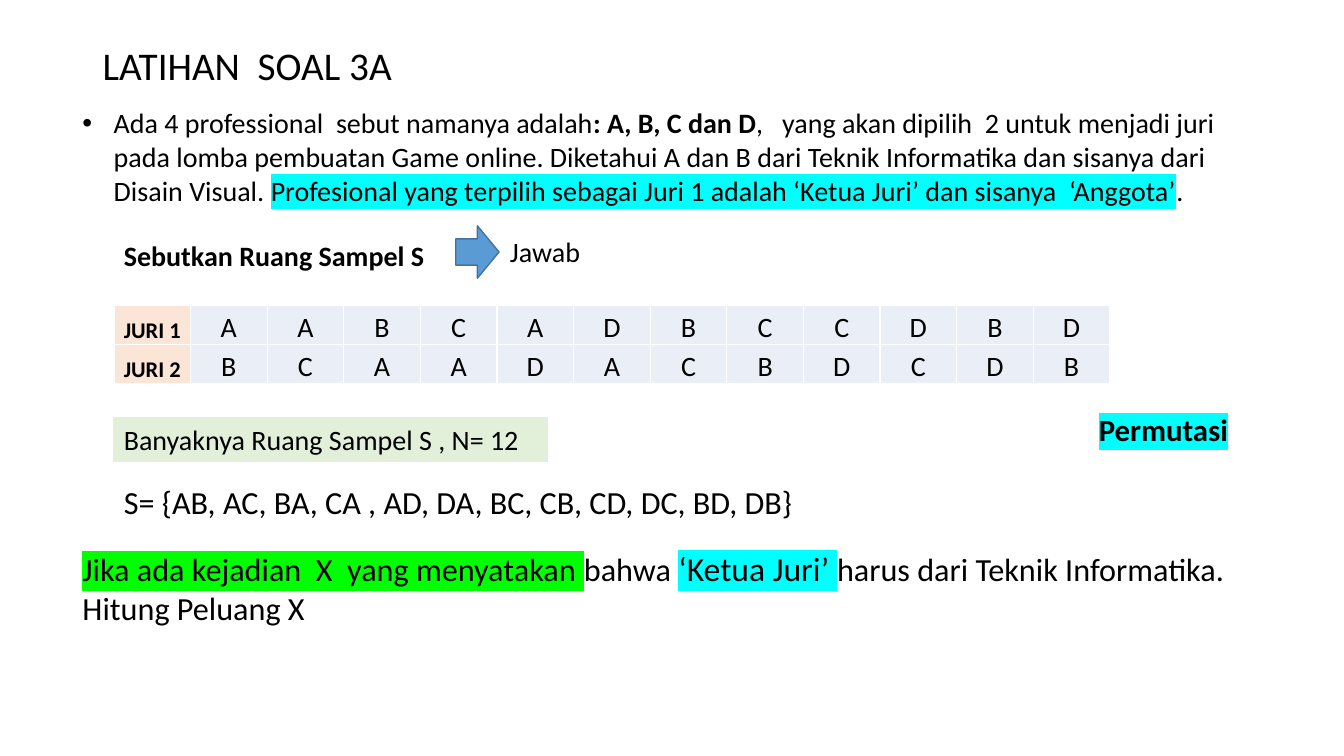
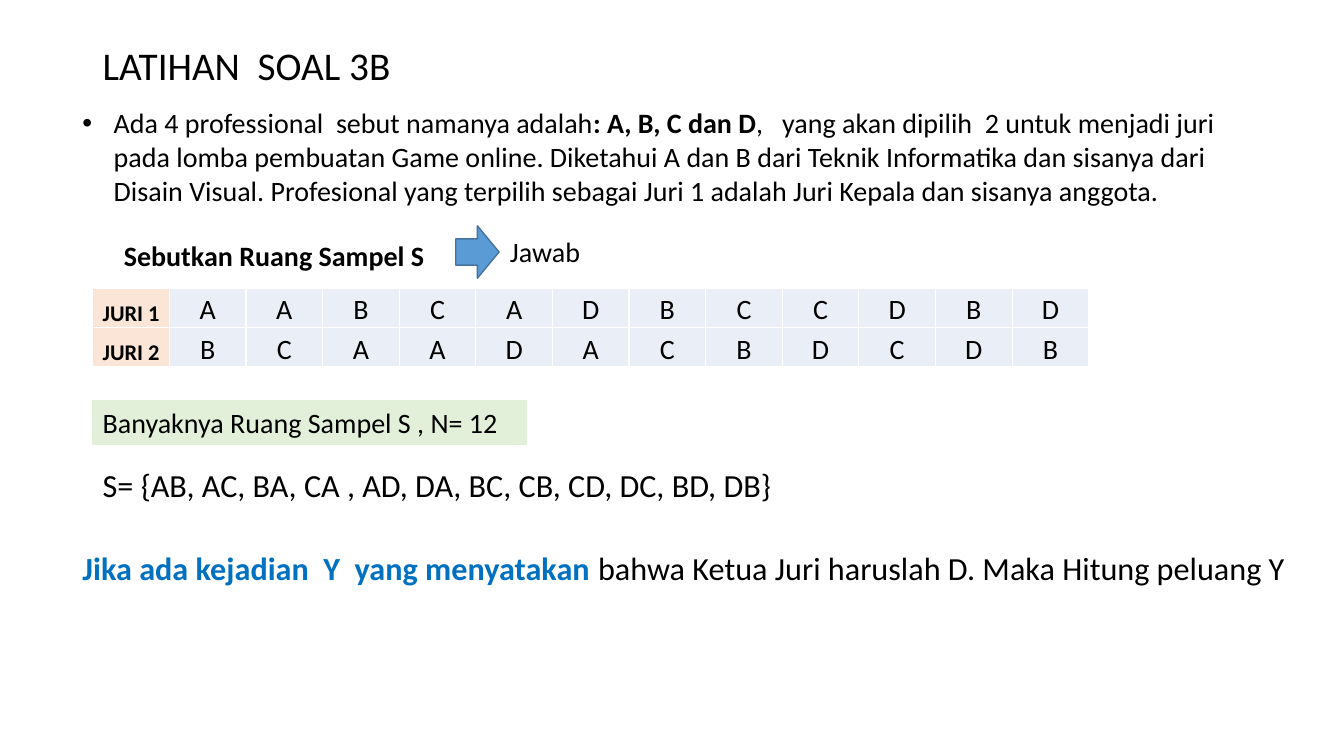
from dataclasses import dataclass
from typing import Any, Optional

from lxml import etree
from pptx import Presentation
from pptx.dml import color as dml
from pptx.enum import shapes, text as enum_text
from pptx.oxml import ns
from pptx.slide import Slide
from pptx.util import Inches, Pt

FONT = "Calibri"
BLACK, WHITE = "000000", "FFFFFF"
CYAN, LIME, BLUE = "00FFFF", "00FF00", "0070C0"
ARROW_FILL, ARROW_LINE = "5B9BD5", "43739E"
COUNT_FILL, HEADER_FILL, CELL_FILL = "E2F0D9", "FBE5D6", "EAEFF7"

COLUMN_WIDTH, ROW_HEIGHT = 0.76, 0.39
JURY_ROWS = (("JURI 1", *"AABCADBCCDBD"), ("JURI 2", *"BCAADACBDCDB"))


@dataclass(frozen=True)
class Run:
    text: str
    size: float = 20
    bold: bool = False
    color: str = BLACK
    highlight: Optional[str] = None


@dataclass(frozen=True)
class Exercise:
    title: str
    problem_end: tuple[Run, ...]
    answer_left: float
    answer_top: float
    question: tuple[Run, ...]
    question_size: tuple[float, float]
    method: Optional[Run] = None


PROBLEM_START = (
    Run("Ada 4 professional  sebut namanya adalah"),
    Run(": A, B, C dan D", bold=True),
    Run(",   yang akan dipilih  2 untuk menjadi juri pada lomba pembuatan Game online. "
        "Diketahui A dan B dari Teknik Informatika dan sisanya dari Disain Visual. "),
)

EXERCISES = (
    Exercise(
        title="LATIHAN  SOAL 3A",
        problem_end=(
            Run("Profesional yang terpilih sebagai Juri 1 adalah ‘Ketua Juri’ dan sisanya  ‘Anggota’",
                highlight=CYAN),
            Run("."),
        ),
        answer_left=1.13,
        answer_top=3.03,
        question=(
            Run("Jika ada kejadian  X  yang menyatakan ", 23, highlight=LIME),
            Run("bahwa ", 23),
            Run("‘Ketua Juri’ ", 24, highlight=CYAN),
            Run("harus dari Teknik Informatika. Hitung Peluang X", 23),
        ),
        question_size=(11.7, 0.89),
        method=Run("Permutasi", 22, bold=True, highlight=CYAN),
    ),
    Exercise(
        title="LATIHAN  SOAL 3B",
        problem_end=(
            Run("Profesional yang terpilih sebagai Juri 1 adalah Juri Kepala dan sisanya anggota."),
        ),
        answer_left=0.92,
        answer_top=2.86,
        question=(
            Run("Jika ada kejadian  Y  yang menyatakan ", 23, bold=True, color=BLUE),
            Run("bahwa Ketua Juri haruslah D. Maka Hitung peluang Y", 23),
        ),
        question_size=(12.26, 0.49),
    ),
)


def rgb(value: str) -> dml.RGBColor:
    return dml.RGBColor.from_string(value)


def add_color_element(parent: Any, tag: str, color: str) -> Any:
    """Append a DrawingML element that holds one plain colour."""
    element = etree.SubElement(parent, ns.qn(tag))
    etree.SubElement(element, ns.qn("a:srgbClr"), val=color)
    return element


def write(paragraph: Any, text: str, *, size: float = 20, bold: bool = False,
          color: str = BLACK, highlight: Optional[str] = None) -> None:
    run = paragraph.add_run()
    run.text = text
    font = run.font
    font.name, font.size, font.bold = FONT, Pt(size), bold
    font.color.rgb = rgb(color)
    if highlight:
        properties = font._element
        marker = add_color_element(properties, "a:highlight", highlight)
        properties.find(ns.qn("a:solidFill")).addnext(marker)


def write_runs(paragraph: Any, runs: tuple[Run, ...]) -> None:
    for run in runs:
        write(paragraph, run.text, size=run.size, bold=run.bold,
              color=run.color, highlight=run.highlight)


def add_text(slide: Slide, left: float, top: float, width: float, height: float,
             *runs: Run, wrap: bool = True) -> Any:
    box = slide.shapes.add_textbox(Inches(left), Inches(top), Inches(width), Inches(height))
    box.text_frame.word_wrap = wrap
    write_runs(box.text_frame.paragraphs[0], runs)
    return box


def add_block(slide: Slide, kind: shapes.MSO_SHAPE, left: float, top: float, width: float,
              height: float, *, fill: str, line: str, line_width: float) -> Any:
    shape = slide.shapes.add_shape(
        kind, Inches(left), Inches(top), Inches(width), Inches(height))
    shape.shadow.inherit = False
    shape.fill.solid()
    shape.fill.fore_color.rgb = rgb(fill)
    shape.line.color.rgb = rgb(line)
    shape.line.width = Pt(line_width)
    return shape


def set_bullet(paragraph: Any, indent: float) -> None:
    properties = paragraph._p.get_or_add_pPr()
    properties.set("marL", str(Inches(indent)))
    properties.set("indent", str(-Inches(indent)))
    etree.SubElement(properties, ns.qn("a:buFont"), typeface="Arial")
    etree.SubElement(properties, ns.qn("a:buChar"), char="•")


def set_borders(cell: Any, color: str, width: float) -> None:
    properties = cell._tc.get_or_add_tcPr()
    for index, side in enumerate("LRTB"):
        border = add_color_element(properties, f"a:ln{side}", WHITE)
        border.set("w", str(Pt(width)))
        fill = etree.Element(ns.qn("a:solidFill"))
        fill.append(border[0])
        fill[0].set("val", color)
        border.append(fill)
        properties.insert(index, border)


def add_jury_table(slide: Slide, left: float, top: float) -> None:
    row_count, column_count = len(JURY_ROWS), len(JURY_ROWS[0])
    table = slide.shapes.add_table(
        row_count, column_count, Inches(left), Inches(top),
        Inches(column_count * COLUMN_WIDTH), Inches(row_count * ROW_HEIGHT)).table
    table.first_row = table.horz_banding = False
    for column in table.columns:
        column.width = Inches(COLUMN_WIDTH)
    for row, values in zip(table.rows, JURY_ROWS):
        row.height = Inches(ROW_HEIGHT)
        for index, (cell, value) in enumerate(zip(row.cells, values)):
            is_header = index == 0
            cell.margin_left = cell.margin_right = cell.margin_top = Inches(0.01)
            cell.margin_bottom = 0
            cell.vertical_anchor = enum_text.MSO_ANCHOR.BOTTOM
            cell.fill.solid()
            cell.fill.fore_color.rgb = rgb(HEADER_FILL if is_header else CELL_FILL)
            set_borders(cell, WHITE, 1)
            paragraph = cell.text_frame.paragraphs[0]
            paragraph.alignment = enum_text.PP_ALIGN.CENTER
            write(paragraph, value, size=16 if is_header else 20, bold=is_header)


def add_answer(slide: Slide, left: float, top: float) -> None:
    """Draw the table, the size of the sample space and its members."""
    add_jury_table(slide, left, top)
    count = add_block(slide, shapes.MSO_SHAPE.RECTANGLE, left, top + 1.11, 4.3, 0.44,
                      fill=COUNT_FILL, line=COUNT_FILL, line_width=0.75)
    count.text_frame.word_wrap = True
    count.text_frame.vertical_anchor = enum_text.MSO_ANCHOR.TOP
    paragraph = count.text_frame.paragraphs[0]
    paragraph.alignment = enum_text.PP_ALIGN.LEFT
    write(paragraph, "Banyaknya Ruang Sampel S , N= 12")
    add_text(slide, left, top + 1.71, 6.85, 0.49,
             Run("S= {AB, AC, BA, CA , AD, DA, BC, CB, CD, DC, BD, DB}", 23))


def add_exercise(slide: Slide, exercise: Exercise) -> None:
    title = add_text(slide, 0.92, 0.4, 11.5, 0.55, Run(exercise.title, 28))
    title.text_frame.vertical_anchor = enum_text.MSO_ANCHOR.MIDDLE
    title.text_frame.paragraphs[0].line_spacing = 0.9

    problem = add_text(slide, 0.72, 1, 11.9, 1.11, *PROBLEM_START, *exercise.problem_end)
    set_bullet(problem.text_frame.paragraphs[0], 0.31)

    add_text(slide, 1.13, 2.32, 3.21, 0.44,
             Run("Sebutkan Ruang Sampel S", bold=True), wrap=False)
    add_block(slide, shapes.MSO_SHAPE.RIGHT_ARROW, 4.52, 2.24, 0.43, 0.52,
              fill=ARROW_FILL, line=ARROW_LINE, line_width=1)
    add_text(slide, 4.96, 2.28, 0.9, 0.44, Run("Jawab"), wrap=False)

    add_answer(slide, exercise.answer_left, exercise.answer_top)
    add_text(slide, 0.72, 5.39, *exercise.question_size, *exercise.question)
    if exercise.method:
        add_text(slide, 10.8, 4.03, 1.7, 0.47, exercise.method)


def main() -> None:
    presentation = Presentation()
    presentation.slide_width, presentation.slide_height = Inches(13.33), Inches(7.5)
    blank_layout = presentation.slide_layouts[6]
    for exercise in EXERCISES:
        add_exercise(presentation.slides.add_slide(blank_layout), exercise)
    presentation.save("out.pptx")


if __name__ == "__main__":
    main()
